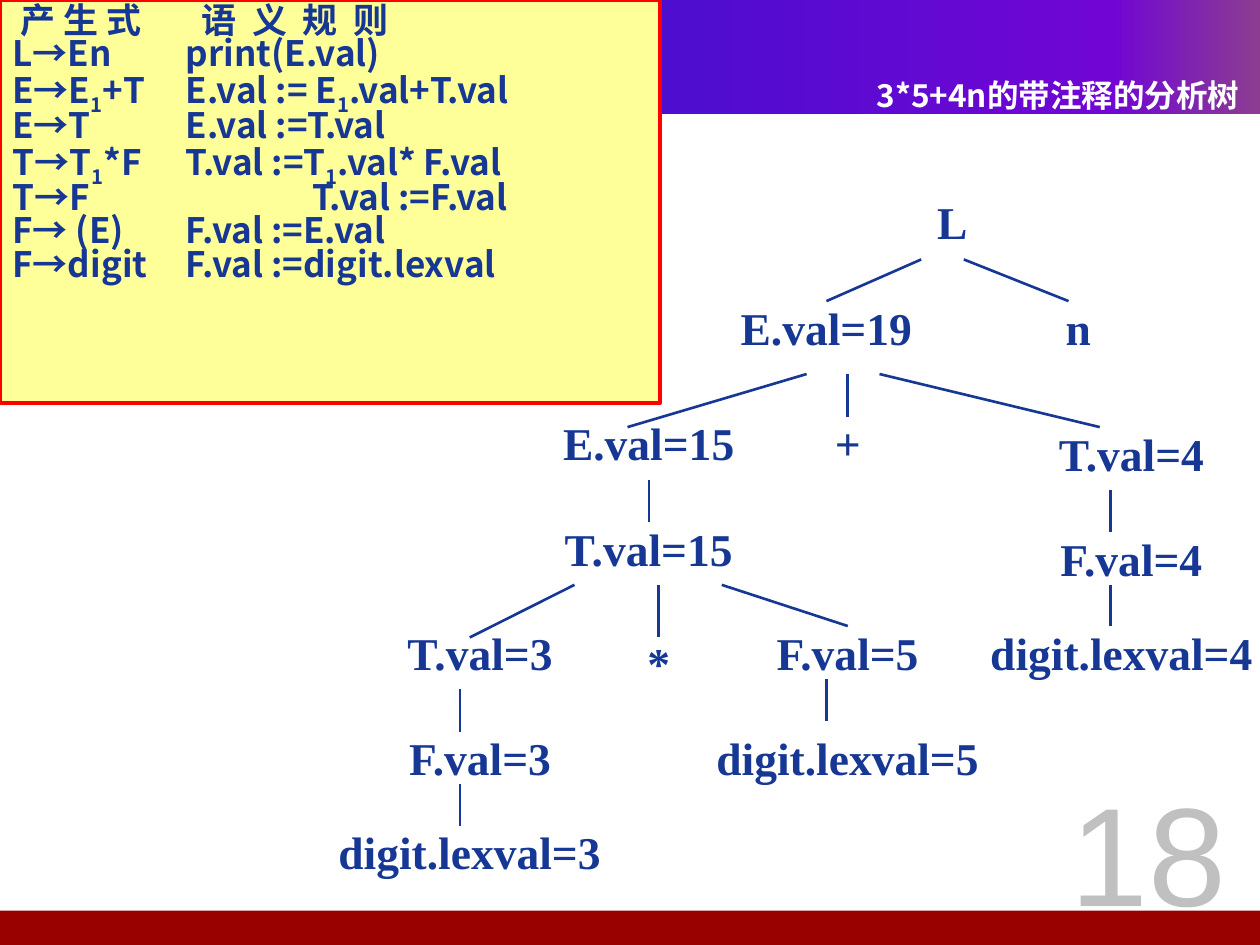
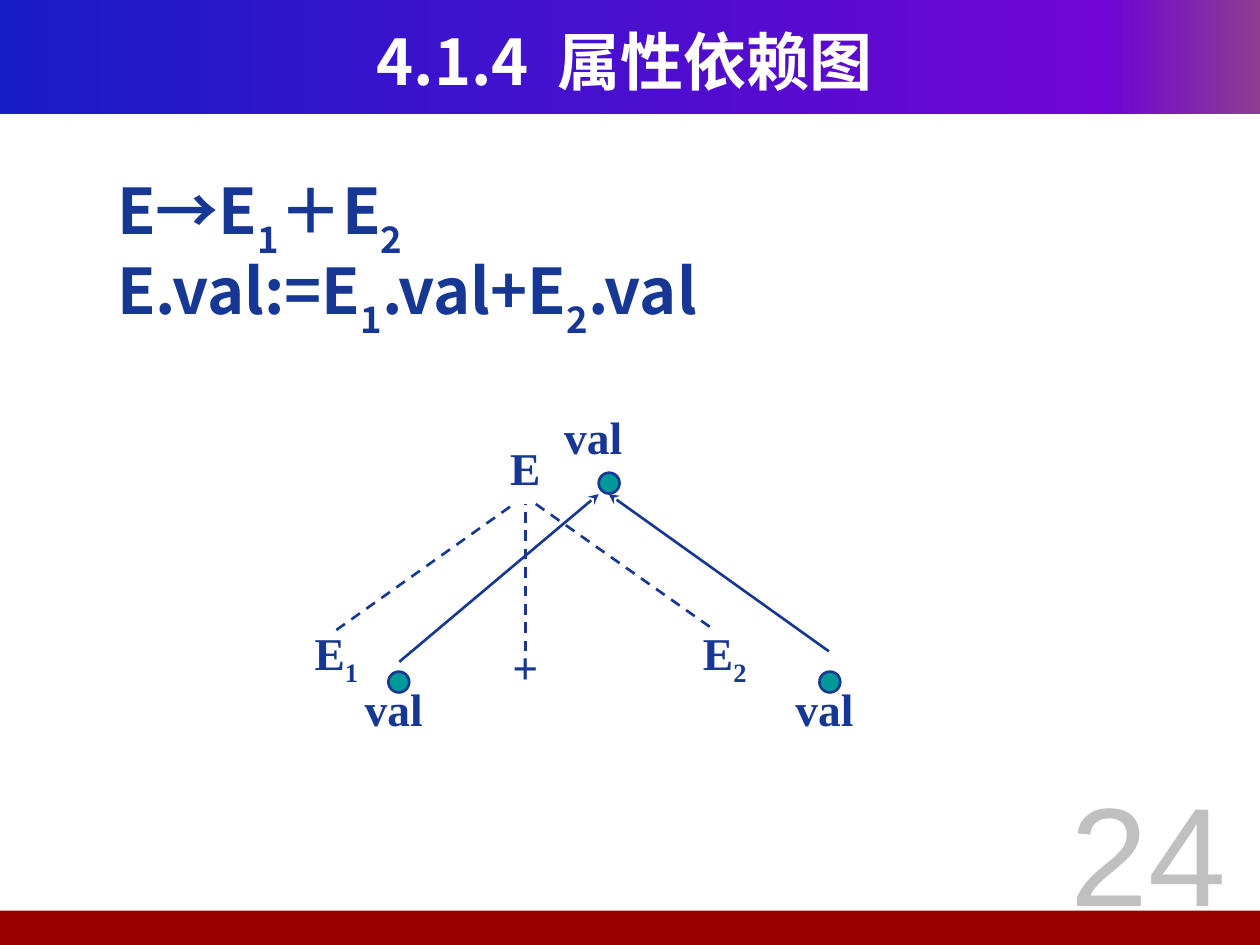
from copy import deepcopy
from lxml.etree import SubElement
from pptx import Presentation
from pptx.dml.color import RGBColor
from pptx.enum.dml import MSO_LINE
from pptx.enum.shapes import MSO_CONNECTOR, MSO_SHAPE
from pptx.enum.text import MSO_ANCHOR, PP_ALIGN
from pptx.oxml.ns import qn
from pptx.util import Cm, Pt

# Shared style; all lengths are in centimetres
NAVY, WHITE, RED, YELLOW = "163794", "FFFFFF", "FF0000", "FFFF99"
TEAL, MAROON, GREY = "009999", "990000", "C0C0C0"
BAND_STOPS = [(0, "181CC7"), (0.88, "7005D4"), (1, "8C3D91")]
SANS, SERIF, NUMBER = "Noto Sans CJK SC", "Times New Roman", "Arial"
NODE_W, NODE_H, DOT = 6.35, 1.47, 0.42

# In the texts, every second part between bars is a subscript
RULES_HEAD = "产 生 式\t|语 义 规 则"
RULES = [
    "L→En\tprint(E.val)",
    "E→E|1|+T\tE.val := E|1|.val+T.val",
    "E→T\tE.val :=T.val",
    "T→T|1|*F\tT.val :=T|1|.val* F.val",
    "T→F\t\tT.val :=F.val",
    "F→ (E)\tF.val :=E.val",
    "F→digit\tF.val :=digit.lexval",
]
RULE_TABS = (3.5, 6.05)

# Annotated parse tree: label, centre x, centre y
TREE_NODES = [
    ("L", 19.2, 4.47), ("E.val=19", 16.66, 6.6), ("n", 21.74, 6.6),
    ("E.val=15", 13.08, 8.92), ("+", 17.09, 8.92), ("T.val=4", 22.81, 9.14),
    ("T.val=15", 13.08, 11.05), ("F.val=4", 22.81, 11.25),
    ("T.val=3", 9.68, 13.16), ("*", 13.28, 13.36), ("F.val=5", 17.09, 13.16),
    ("digit.lexval=4", 22.61, 13.16), ("F.val=3", 9.68, 15.27),
    ("digit.lexval=5", 17.09, 15.27), ("digit.lexval=3", 9.47, 17.17),
]
TREE_EDGES = [
    (18.57, 5.23, 16.66, 6.07), (19.43, 5.23, 21.54, 6.07),
    (16.26, 7.54, 12.65, 8.61), (17.09, 7.54, 17.09, 8.41),
    (17.73, 7.54, 22.17, 8.61), (13.08, 9.68, 13.08, 10.52),
    (22.38, 9.88, 22.38, 10.72), (22.38, 11.79, 22.38, 12.62),
    (11.58, 11.79, 9.47, 12.85), (13.28, 11.79, 13.28, 12.85),
    (14.55, 11.79, 17.09, 12.62), (16.66, 13.69, 16.66, 14.53),
    (9.27, 13.89, 9.27, 14.76), (9.27, 15.8, 9.27, 16.66),
]

# Attribute dependency graph
FORMULAS = ["E→E|1|＋E|2", "E.val:=E|1|.val+E|2|.val"]
GRAPH_NODES = [
    ("E", 10.59, 9.42), ("val", 11.96, 8.79), ("E|1", 6.78, 13.23),
    ("+", 10.59, 13.44), ("E|2", 14.61, 13.23),
    ("val", 7.94, 14.27), ("val", 16.62, 14.27),
]
SYNTAX_EDGES = [(6.78, 12.7, 10.36, 10.16), (10.59, 13.13, 10.59, 10.16),
                (10.8, 10.16, 14.4, 12.7)]
DEPENDENCIES = [(8.05, 13.34, 12.07, 9.96), (16.71, 13.13, 12.27, 9.96)]
DOTS = [(8.04, 13.75), (16.73, 13.75), (12.28, 9.74)]


def color(value):
    return RGBColor.from_string(value)


def add_text(p, text, size=26, font=SERIF, fill=NAVY, bold=True,
             align=PP_ALIGN.CENTER, spacing=None, tabs=(), odd=None):
    """Fill a paragraph; odd holds run attributes for every second part."""
    if tabs:
        tab_list = SubElement(p._p.get_or_add_pPr(), qn("a:tabLst"))
        for pos in tabs:
            SubElement(tab_list, qn("a:tab"), pos=str(Cm(pos)), algn="l")
    p.alignment = align
    if spacing:
        p.line_spacing = spacing
    for i, part in enumerate(text.split("|")):
        r = p.add_run()
        r.text = part
        r.font.size, r.font.bold = Pt(size), bold
        r.font.color.rgb = color(fill)
        r.font.name = font
        rPr = r.font._element
        SubElement(rPr, qn("a:ea"), typeface=font)
        if i % 2:
            for key, value in (odd or {"baseline": -25000}).items():
                rPr.set(key, str(value))


def add_box(s, x, y, w, h, lines, anchor=MSO_ANCHOR.TOP, wrap=True, **fmt):
    tf = s.shapes.add_textbox(Cm(x), Cm(y), Cm(w), Cm(h)).text_frame
    tf.word_wrap, tf.vertical_anchor = wrap, anchor
    for i, text in enumerate(lines):
        add_text(tf.add_paragraph() if i else tf.paragraphs[0], text, **fmt)
    return tf


def add_shape(s, kind, x, y, w, h, fill=None, line=None, width=1.5):
    sp = s.shapes.add_shape(kind, Cm(x), Cm(y), Cm(w), Cm(h))
    sp.shadow.inherit = False
    if fill:
        sp.fill.solid()
        sp.fill.fore_color.rgb = color(fill)
    if line:
        sp.line.color.rgb, sp.line.width = color(line), Pt(width)
    else:
        sp.line.fill.background()
    return sp


def add_edge(s, x1, y1, x2, y2, dashed=False, arrow=False):
    cn = s.shapes.add_connector(MSO_CONNECTOR.STRAIGHT, Cm(x1), Cm(y1), Cm(x2), Cm(y2))
    cn.line.color.rgb, cn.line.width = color(NAVY), Pt(1.5)
    if dashed:
        cn.line.dash_style = MSO_LINE.DASH
    if arrow:
        SubElement(cn.line._get_or_add_ln(), qn("a:tailEnd"), type="stealth")
    SubElement(cn._element.spPr, qn("a:effectLst"))


def add_nodes(s, nodes):
    for label, x, y in nodes:
        add_box(s, x - NODE_W / 2, y - NODE_H / 2, NODE_W, NODE_H, [label],
                anchor=MSO_ANCHOR.MIDDLE, wrap=False)


def add_title(s, x, y, w, h, text, **fmt):
    add_box(s, x, y, w, h, [text], anchor=MSO_ANCHOR.MIDDLE,
            font=SANS, fill=WHITE, **fmt)


def new_slide(prs, number):
    """Blank slide with gradient band, footer bar and page number."""
    s = prs.slides.add_slide(prs.slide_layouts[6])
    band = add_shape(s, MSO_SHAPE.RECTANGLE, 0, 0, 25.4, 2.31)
    band.fill.gradient()
    band.fill.gradient_angle = 0
    stops = band._element.spPr.find(".//" + qn("a:gsLst"))
    stops.insert(1, deepcopy(stops[0]))
    for stop, (pos, value) in zip(band.fill.gradient_stops, BAND_STOPS):
        stop.position, stop.color.rgb = pos, color(value)
    add_shape(s, MSO_SHAPE.RECTANGLE, -0.1, 18.36, 25.5, 0.69, MAROON)
    add_box(s, 20.9, 15.32, 4.5, 3.6, [str(number)],
            size=80, font=NUMBER, fill=GREY, bold=False)
    return s


def tree_slide(prs):
    s = new_slide(prs, 18)
    add_title(s, 13.69, 0, 11.54, 3.81, "3*5+4n的带注释的分析树",
              size=18, align=PP_ALIGN.RIGHT)
    # Rules panel
    sp = add_shape(s, MSO_SHAPE.RECTANGLE, 0, 0, 13.31, 8.13, YELLOW, RED, 2)
    tf = sp.text_frame
    tf.word_wrap, tf.vertical_anchor = True, MSO_ANCHOR.TOP
    fmt = dict(size=20, font=SANS, align=PP_ALIGN.LEFT, spacing=0.8, tabs=RULE_TABS)
    add_text(tf.paragraphs[0], RULES_HEAD, odd={"spc": 225}, **fmt)
    tf.paragraphs[0]._p.pPr.set("indent", str(Cm(0.16)))
    for rule in RULES:
        add_text(tf.add_paragraph(), rule, **fmt)
    # Parse tree
    for edge in TREE_EDGES:
        add_edge(s, *edge)
    add_nodes(s, TREE_NODES)


def graph_slide(prs):
    s = new_slide(prs, 24)
    add_title(s, 0.84, 0.43, 23.5, 1.57, "4.1.4| |属性依赖图", size=36, odd={"spc": 800})
    add_box(s, 2.11, 3.33, 15.67, 3.25, FORMULAS, size=36, font=SANS,
            align=PP_ALIGN.LEFT, spacing=0.9, odd={"baseline": -30000})
    # Dependency graph
    add_nodes(s, GRAPH_NODES)
    for edge in SYNTAX_EDGES:
        add_edge(s, *edge, dashed=True)
    for edge in DEPENDENCIES:
        add_edge(s, *edge, arrow=True)
    for x, y in DOTS:
        add_shape(s, MSO_SHAPE.OVAL, x - DOT / 2, y - DOT / 2, DOT, DOT, TEAL, NAVY)


def main():
    prs = Presentation()
    prs.slide_width, prs.slide_height = Cm(25.4), Cm(19.05)
    tree_slide(prs)
    graph_slide(prs)
    prs.save("out.pptx")


if __name__ == "__main__":
    main()
